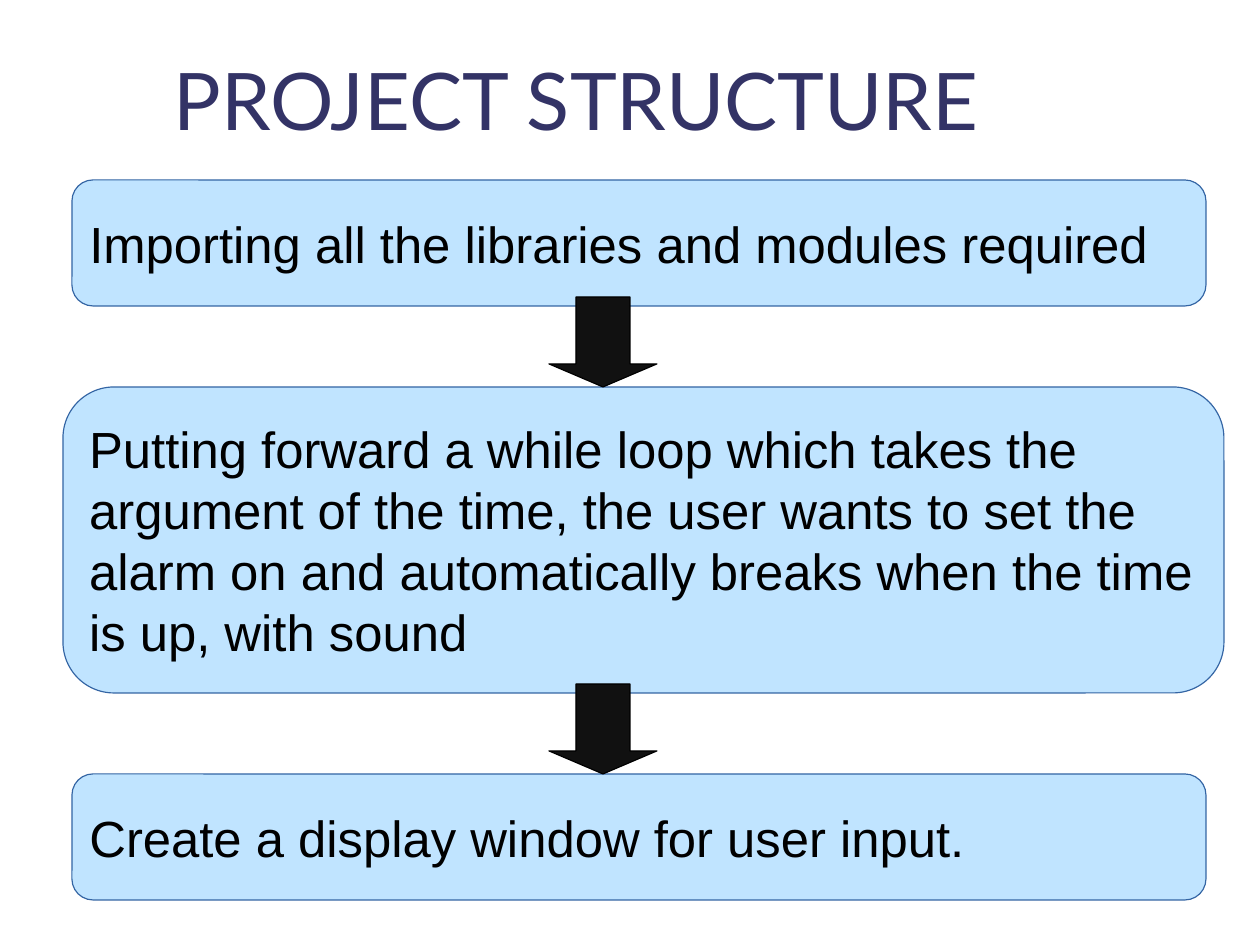
from lxml.etree import SubElement
from pptx import Presentation
from pptx.dml.color import RGBColor
from pptx.enum.shapes import MSO_SHAPE as SHAPE
from pptx.enum.text import MSO_ANCHOR as ANCHOR, MSO_AUTO_SIZE as FIT, PP_ALIGN as ALIGN
from pptx.oxml.ns import qn
from pptx.util import Emu, Pt

PX = 8000  # EMU per pixel
CENTER_X = 603
ARROW_W, ARROW_H, ARROW_HEAD = 108, 90, 23

TITLE_FONT = {"name": "Lato", "size": Pt(50), "bold": False}
STEP_FONT = {"name": "Arial", "size": Pt(32), "bold": False}

# Each step: left, top, width, height, lines of text
STEPS = [
    (72, 180, 1134, 126, ["Importing all the libraries and modules required"]),
    (63, 387, 1161, 306, [
        "Putting forward a while loop which takes the ",
        "argument of the time, the user wants to set the ",
        "alarm on and automatically breaks when the time ",
        "is up, with sound",
    ]),
    (72, 774, 1134, 126, ["Create a display window for user input."]),
]


def px(n):
    return Emu(n * PX)


def rgb(color):
    return RGBColor.from_string(color)


def write(sp, lines, font, color, anchor):
    tf = sp.text_frame
    frame = {"word_wrap": True, "auto_size": FIT.NONE, "vertical_anchor": anchor}
    for name, value in frame.items():
        setattr(tf, name, value)
    for i, line in enumerate(lines):
        p = tf.paragraphs[0] if i == 0 else tf.add_paragraph()
        p.alignment = ALIGN.LEFT
        r = p.add_run()
        r.text = line
        for name, value in font.items():
            setattr(r.font, name, value)
        r.font.color.rgb = rgb(color)


def add_title(s, text, x, y, w, h):
    sp = s.shapes.title
    box = {"left": x, "top": y, "width": w, "height": h}
    for name, value in box.items():
        setattr(sp, name, px(value))
    write(sp, [text], TITLE_FONT, "333366", ANCHOR.TOP)


def add_preset(s, kind, x, y, w, h, fill, line):
    sp = s.shapes.add_shape(kind, px(x), px(y), px(w), px(h))
    sp.shadow.inherit = False
    sp.fill.solid()
    sp.fill.fore_color.rgb = rgb(fill)
    sp.line.color.rgb = rgb(line)
    sp.line.width = Pt(0.75)
    return sp


def add_step(s, x, y, w, h, lines):
    sp = add_preset(s, SHAPE.FLOWCHART_ALTERNATE_PROCESS, x, y, w, h, "83CAFF", "3465A4")
    # Half-transparent fill
    color = sp.element.spPr.xpath("a:solidFill/a:srgbClr")[0]
    SubElement(color, qn("a:alpha"), val="50000")
    write(sp, lines, STEP_FONT, "000000", ANCHOR.MIDDLE)
    sp.text_frame.margin_right = 0  # room for the longest line


def add_arrow(s, tip_y):
    sp = add_preset(s, SHAPE.DOWN_ARROW, CENTER_X - ARROW_W // 2, tip_y - ARROW_H,
                    ARROW_W, ARROW_H, "111111", "000000")
    sp.adjustments[0] = 0.5
    sp.adjustments[1] = ARROW_HEAD / ARROW_H


def main():
    prs = Presentation()
    prs.slide_width, prs.slide_height = px(1260), px(945)
    s = prs.slides.add_slide(prs.slide_layouts[5])

    # Title
    add_title(s, "PROJECT STRUCTURE", 162, 45, 1108, 546)

    # Steps from top to bottom
    for step in STEPS:
        add_step(s, *step)

    # Arrows, each ending at the top of the next step
    for _, top, *_ in STEPS[1:]:
        add_arrow(s, top)

    prs.save("out.pptx")


main()
